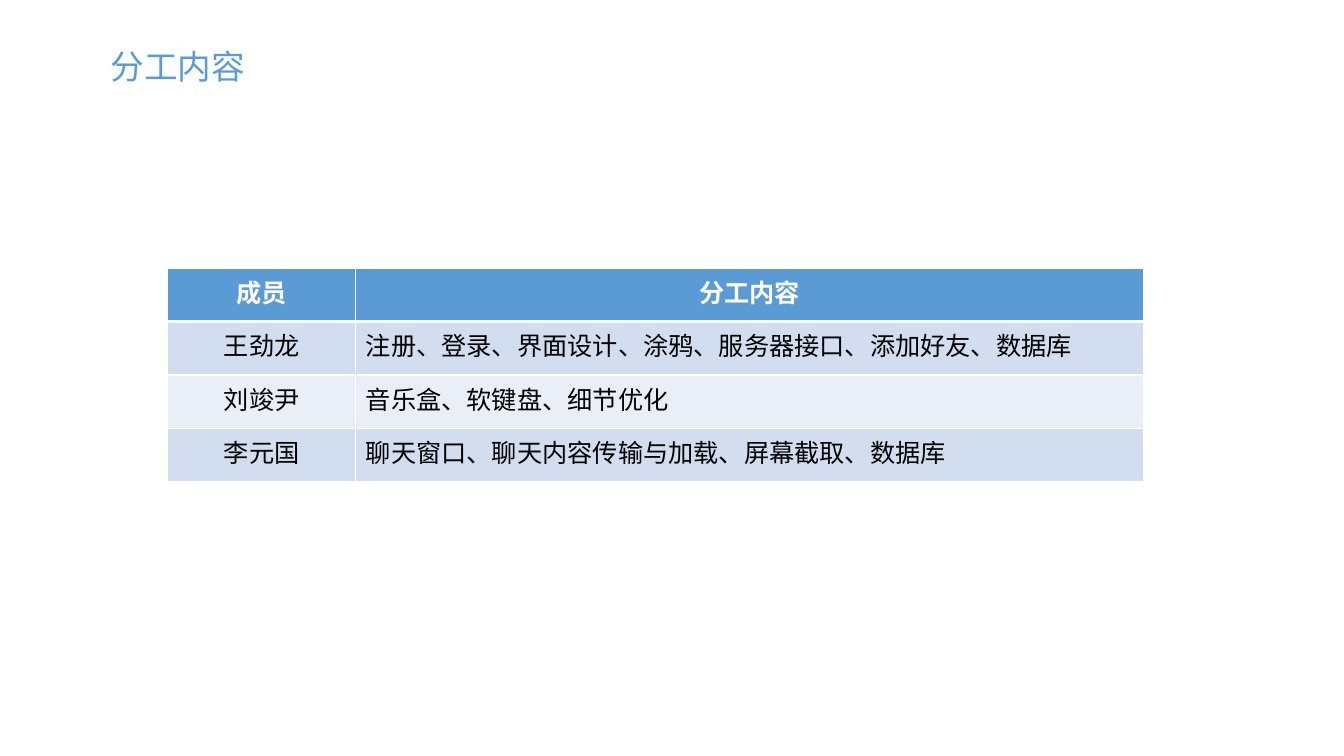
from dataclasses import dataclass

from lxml.etree import SubElement
from pptx import Presentation
from pptx.dml.color import RGBColor as Rgb
from pptx.enum.text import MSO_AUTO_SIZE as AutoSize, PP_ALIGN as Align
from pptx.oxml.ns import qn
from pptx.util import Pt

PX = 9144  # EMU per px, 100 px to the inch


@dataclass(frozen=True)
class Theme:
    font: str = "Calibri"
    title_size: int = 24
    table_size: int = 18
    accent: str = "5B9BD5"
    ink: str = "000000"
    white: str = "FFFFFF"
    bands: tuple = ("D2DEEF", "EAEFF7")
    thin: int = 1
    thick: int = 3


class SlideBuilder:
    def __init__(self, slide, theme):
        self.slide = slide
        self.theme = theme

    def style(self, paragraph, size, color, bold=False, align=Align.LEFT):
        paragraph.alignment = align
        font = paragraph.font
        font.name, font.size, font.bold = self.theme.font, Pt(size), bold
        font.color.rgb = Rgb.from_string(color)

    def title(self, text, left, top, width, height):
        heading = self.slide.shapes.add_textbox(
            left * PX, top * PX, width * PX, height * PX).text_frame
        heading.word_wrap = True
        heading.auto_size = AutoSize.SHAPE_TO_FIT_TEXT
        heading.text = text
        self.style(heading.paragraphs[0], self.theme.title_size, self.theme.accent)

    def borders(self, cell, top, bottom):
        thin = self.theme.thin
        for side, width in (("L", thin), ("R", thin), ("T", top), ("B", bottom)):
            line = SubElement(cell._tc.get_or_add_tcPr(), qn(f"a:ln{side}"), w=str(Pt(width)))
            fill = SubElement(line, qn("a:solidFill"))
            SubElement(fill, qn("a:srgbClr"), val=self.theme.white)

    def table(self, rows, left, top, column_widths, row_height):
        theme = self.theme
        grid = self.slide.shapes.add_table(
            len(rows), len(column_widths), left * PX, top * PX,
            sum(column_widths) * PX, len(rows) * row_height * PX).table
        for column, width in zip(grid.columns, column_widths):
            column.width = width * PX
        for r, texts in enumerate(rows):
            header = r == 0
            fill = theme.accent if header else theme.bands[(r - 1) % 2]
            for c, text in enumerate(texts):
                cell = grid.cell(r, c)
                # The thick rule separates the header from the body
                self.borders(cell, theme.thick if r == 1 else theme.thin,
                             theme.thick if header else theme.thin)
                cell.fill.solid()
                cell.fill.fore_color.rgb = Rgb.from_string(fill)
                cell.text = text
                self.style(cell.text_frame.paragraphs[0], theme.table_size,
                           theme.white if header else theme.ink, header,
                           Align.CENTER if header or c == 0 else Align.LEFT)


ASSIGNMENTS = [
    ("成员", "分工内容"),
    ("王劲龙", "注册、登录、界面设计、涂鸦、服务器接口、添加好友、数据库"),
    ("刘竣尹", "音乐盒、软键盘、细节优化"),
    ("李元国", "聊天窗口、聊天内容传输与加载、屏幕截取、数据库"),
]


def main():
    deck = Presentation()
    deck.slide_width, deck.slide_height = 1333 * PX, 750 * PX
    builder = SlideBuilder(deck.slides.add_slide(deck.slide_layouts[6]), Theme())

    # Heading
    builder.title("分工内容", 100, 41, 530, 50)

    # Division of work by member
    builder.table(ASSIGNMENTS, 166, 266, (187, 781), 53)

    deck.save("out.pptx")


if __name__ == "__main__":
    main()
